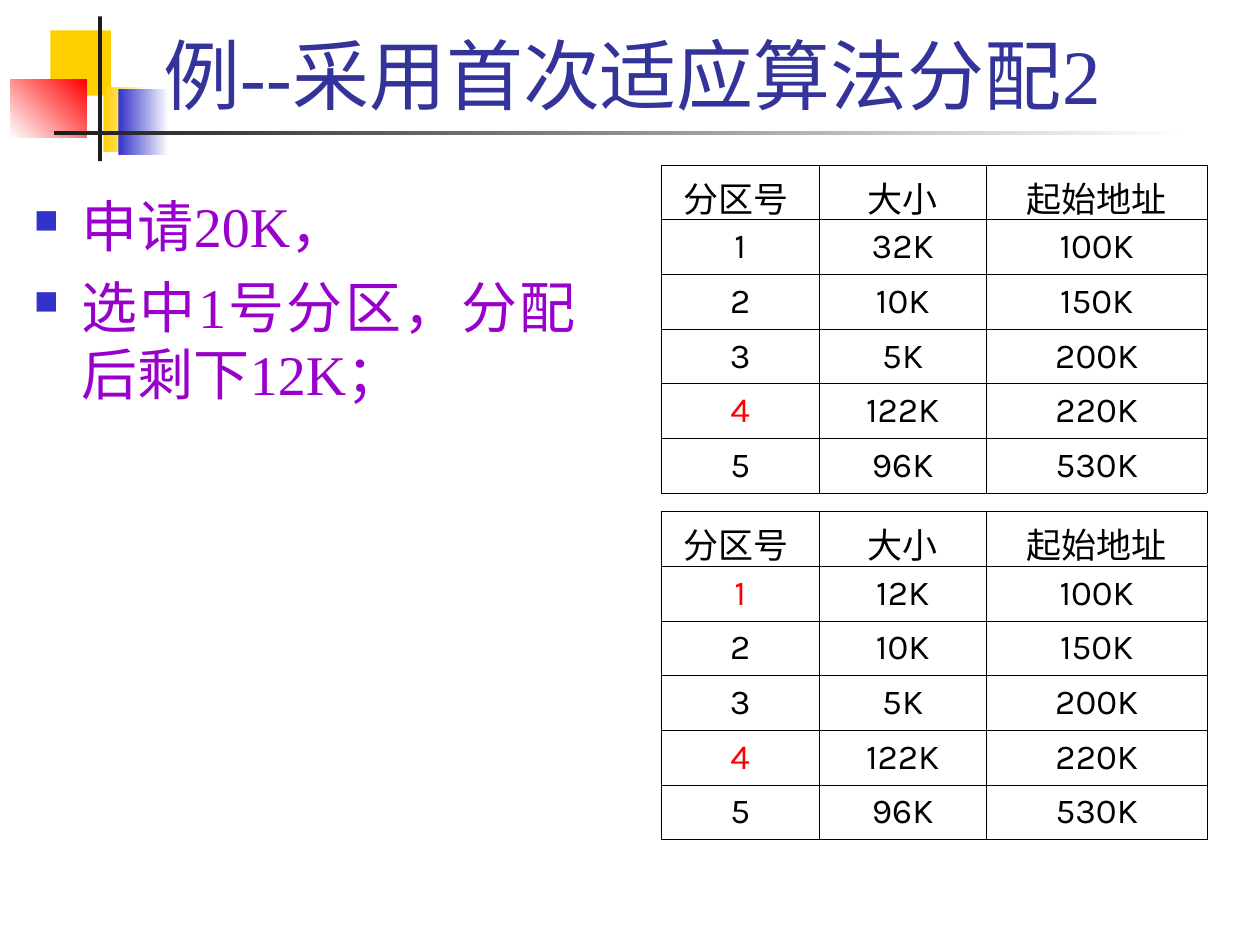
"""Build the slide showing a first-fit memory allocation step."""
from dataclasses import dataclass

from lxml import etree
from pptx import Presentation
from pptx import util as u
from pptx.dml.color import RGBColor
from pptx.enum import shapes, text
from pptx.oxml.ns import qn


@dataclass(frozen=True)
class Theme:
    serif: str = "Times New Roman"
    sans: str = "Karla"
    title_size: int = 44
    body_size: int = 32
    table_size: int = 20
    title: str = "333399"
    body: str = "9900CC"
    blue: str = "3333CC"
    yellow: str = "FFCF01"
    red: str = "FF0000"
    dark: str = "1C1C1C"
    black: str = "000000"
    white: str = "FFFFFF"
    border: float = 0.45


class SlideBuilder:
    def __init__(self, presentation, theme, columns=100, rows=75):
        self.theme = theme
        self.slide = presentation.slides.add_slide(presentation.slide_layouts[6])
        self.column = presentation.slide_width / columns
        self.row = presentation.slide_height / rows

    def place(self, left, top, width, height):
        return (round(left * self.column), round(top * self.row),
                round(width * self.column), round(height * self.row))

    def style(self, paragraph, font, size, color):
        for run in paragraph.runs:
            run.font.name = font
            run.font.size = u.Pt(size)
            run.font.color.rgb = RGBColor.from_string(color)

    def block(self, area, *colors, angle=0):
        shape = self.slide.shapes.add_shape(shapes.MSO_SHAPE.RECTANGLE, *self.place(*area))
        shape.shadow.inherit = False
        shape.line.fill.background()
        if len(colors) == 1:
            shape.fill.solid()
            shape.fill.fore_color.rgb = RGBColor.from_string(colors[0])
            return
        shape.fill.gradient()
        shape.fill.gradient_angle = angle
        for stop, color in zip(shape.fill.gradient_stops, colors):
            stop.color.rgb = RGBColor.from_string(color)

    def text_box(self, area, content):
        frame = self.slide.shapes.add_textbox(*self.place(*area)).text_frame
        frame.word_wrap = True
        frame.text = content
        return frame

    def title(self, area, content):
        frame = self.text_box(area, content)
        frame.vertical_anchor = text.MSO_ANCHOR.BOTTOM
        self.style(frame.paragraphs[0], self.theme.serif, self.theme.title_size, self.theme.title)

    def bullets(self, area, items):
        frame = self.text_box(area, "\n".join(items))
        indent = u.Inches(0.38)
        for index, paragraph in enumerate(frame.paragraphs):
            properties = paragraph._p.get_or_add_pPr()
            properties.set("marL", str(indent))
            properties.set("indent", str(-indent))
            color = etree.SubElement(properties, qn("a:buClr"))
            etree.SubElement(color, qn("a:srgbClr"), val=self.theme.blue)
            etree.SubElement(properties, qn("a:buSzPct"), val="60000")
            etree.SubElement(properties, qn("a:buChar"), char="■")
            paragraph.alignment = text.PP_ALIGN.JUSTIFY
            if index:
                paragraph.space_before = u.Pt(8)
            self.style(paragraph, self.theme.serif, self.theme.body_size, self.theme.body)

    def outline(self, cell):
        properties = cell._tc.get_or_add_tcPr()
        for side in ("lnL", "lnR", "lnT", "lnB"):
            line = etree.SubElement(properties, qn(f"a:{side}"), w=str(u.Pt(self.theme.border)))
            fill = etree.SubElement(line, qn("a:solidFill"))
            etree.SubElement(fill, qn("a:srgbClr"), val=self.theme.black)
        cell.fill.background()

    def table(self, area, widths, records, highlighted):
        frame = self.slide.shapes.add_table(len(records), len(widths), *self.place(*area))
        table = frame.table
        table.first_row = table.horz_banding = False
        for column, width in zip(table.columns, widths):
            column.width = round(width * self.column)
        for row_index, record in enumerate(records):
            for column_index, value in enumerate(record):
                cell = table.cell(row_index, column_index)
                self.outline(cell)
                cell.vertical_anchor = text.MSO_ANCHOR.MIDDLE
                cell.text_frame.text = value
                paragraph = cell.text_frame.paragraphs[0]
                paragraph.alignment = text.PP_ALIGN.CENTER
                font = self.theme.sans if row_index or column_index else self.theme.serif
                marked = column_index == 0 and value in highlighted
                color = self.theme.red if marked else self.theme.black
                self.style(paragraph, font, self.theme.table_size, color)


def partitions(first_size):
    sizes = (first_size, "10K", "5K", "122K", "96K")
    addresses = ("100K", "150K", "200K", "220K", "530K")
    rows = [(str(number), size, address)
            for number, (size, address) in enumerate(zip(sizes, addresses), 1)]
    return [("分区号 ", "大小", "起始地址"), *rows]


def main():
    presentation = Presentation()
    presentation.slide_width, presentation.slide_height = u.Inches(10), u.Inches(7.5)
    theme = Theme()
    builder = SlideBuilder(presentation, theme)

    builder.block((4, 2.4, 4.8, 5.2), theme.yellow)
    builder.block((8.2, 6.9, 3.6, 5.2), theme.yellow, theme.white)
    builder.block((9.4, 7.1, 4, 5.2), theme.blue, theme.white)
    builder.block((0.8, 6.3, 6.1, 4.6), theme.white, theme.red, angle=45)
    builder.block((7.8, 1.3, 0.3, 11.5), theme.dark)
    builder.block((4.3, 10.4, 90, 0.3), theme.dark, theme.white)

    builder.title((12, 1.7, 85.2, 8.3), "例--采用首次适应算法分配2")
    builder.bullets((1.7, 14.7, 45, 49.6),
                    ("申请20K，", "选中1号分区，分配后剩下12K；"))
    tables = ((13.1, "32K", {"4"}), (40.6, "12K", {"1", "4"}))
    for top, first_size, highlighted in tables:
        builder.table((52.5, top, 43.3, 26), (12.5, 13.3, 17.5),
                      partitions(first_size), highlighted)
    presentation.save("out.pptx")


if __name__ == "__main__":
    main()
